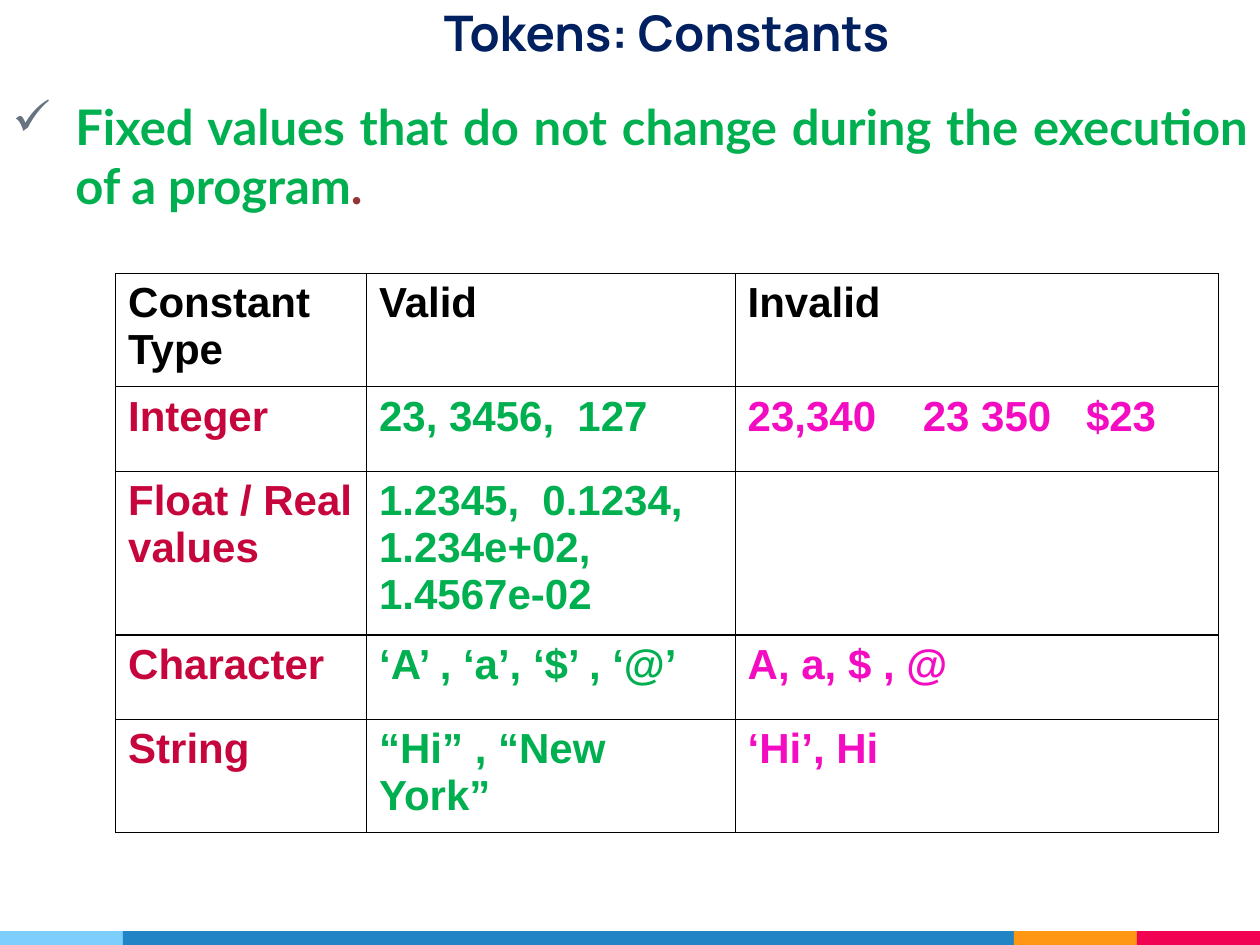
from lxml import etree
from pptx import Presentation
from pptx.dml.color import RGBColor
from pptx.enum import shapes, text
from pptx.oxml import ns
from pptx.util import Cm, Pt

NAVY, GREEN, RED, PINK, BLACK = "002060", "00B050", "C5053C", "F40CC2", "000000"
SLIDE_WIDTH, SLIDE_HEIGHT = 25.4, 19.05

FOOTER_BANDS = [("7ECEFD", 2.48), ("2185C5", 17.96), ("FF9715", 2.48), ("F20253", 2.48)]

COLUMN_WIDTHS = [5.06, 7.43, 9.74]
ROW_HEIGHT = 1.7
CONSTANTS = [
    ["Constant Type", "Valid", "Invalid"],
    ["Integer", "23, 3456,  127", "23,340\t23 350\t$23"],
    ["Float / Real values", "1.2345,  0.1234, 1.234e+02, 1.4567e-02", ""],
    ["Character", "‘A’ , ‘a’, ‘$’ , ‘@’", "A, a, $ , @"],
    ["String", "“Hi” , “New York”", "‘Hi’, Hi"],
]
TAB_STOPS = [3.53, 6.82]


def color(hex_string):
    return RGBColor.from_string(hex_string)


def add_element(parent, tag, **attributes):
    element = etree.SubElement(parent, ns.qn(tag))
    for name, value in attributes.items():
        element.set(name, str(value))
    return element


def style_font(font, name, size, hex_string):
    font.name = name
    font.size = Pt(size)
    font.bold = True
    font.color.rgb = color(hex_string)


def add_footer(slide):
    left, height = 0, 0.28
    for hex_string, width in FOOTER_BANDS:
        band = slide.shapes.add_shape(
            shapes.MSO_SHAPE.RECTANGLE,
            Cm(left), Cm(SLIDE_HEIGHT - height), Cm(width), Cm(height))
        band.shadow.inherit = False
        band.fill.solid()
        band.fill.fore_color.rgb = color(hex_string)
        band.line.fill.background()
        left += width


def add_text_box(slide, left, top, width, height, parts, font_name, alignment, anchor):
    box = slide.shapes.add_textbox(Cm(left), Cm(top), Cm(width), Cm(height))
    frame = box.text_frame
    frame.word_wrap = True
    frame.vertical_anchor = anchor
    frame.margin_left = frame.margin_right = Cm(0.25)
    frame.margin_top = frame.margin_bottom = Cm(0.25)
    paragraph = frame.paragraphs[0]
    paragraph.alignment = alignment
    for words, hex_string in parts:
        run = paragraph.add_run()
        run.text = words
        style_font(run.font, font_name, 28, hex_string)
    return paragraph


def add_bullet(paragraph, character, hex_string, indent):
    properties = paragraph._p.get_or_add_pPr()
    properties.set("marL", str(Cm(indent)))
    properties.set("indent", str(-Cm(indent)))
    bullet_color = add_element(properties, "a:buClr")
    add_element(bullet_color, "a:srgbClr", val=hex_string)
    add_element(properties, "a:buChar", char=character)


def add_tab_stops(paragraph, positions):
    tab_list = add_element(paragraph._p.get_or_add_pPr(), "a:tabLst")
    for position in positions:
        add_element(tab_list, "a:tab", pos=Cm(position), algn="l")


def add_borders(cell, hex_string, width):
    properties = cell._tc.get_or_add_tcPr()
    for index, side in enumerate(("a:lnL", "a:lnR", "a:lnT", "a:lnB")):
        line = etree.Element(ns.qn(side), w=str(Pt(width)))
        fill = add_element(line, "a:solidFill")
        add_element(fill, "a:srgbClr", val=hex_string)
        properties.insert(index, line)


def fill_cell(cell, words, hex_string):
    cell.fill.background()
    add_borders(cell, BLACK, 0.75)
    cell.text_frame.text = words
    paragraph = cell.text_frame.paragraphs[0]
    if "\t" in words:
        add_tab_stops(paragraph, TAB_STOPS)
    style_font(paragraph.font, "Arial", 24, hex_string)
    for run in paragraph.runs:
        style_font(run.font, "Arial", 24, hex_string)


def add_constants_table(slide, left, top):
    table = slide.shapes.add_table(
        len(CONSTANTS), len(COLUMN_WIDTHS), Cm(left), Cm(top),
        Cm(sum(COLUMN_WIDTHS)), Cm(ROW_HEIGHT * len(CONSTANTS))).table
    table.first_row = False
    table.horz_banding = False
    for column, width in zip(table.columns, COLUMN_WIDTHS):
        column.width = Cm(width)
    for row_index, row in enumerate(CONSTANTS):
        table.rows[row_index].height = Cm(ROW_HEIGHT)
        row_colors = [RED, GREEN, PINK] if row_index else [BLACK] * 3
        for column_index, words in enumerate(row):
            fill_cell(table.cell(row_index, column_index), words, row_colors[column_index])


def main():
    presentation = Presentation()
    presentation.slide_width = Cm(SLIDE_WIDTH)
    presentation.slide_height = Cm(SLIDE_HEIGHT)
    slide = presentation.slides.add_slide(presentation.slide_layouts[6])

    # Coloured strip along the bottom
    add_footer(slide)

    # Title
    add_text_box(slide, 4.24, 0.18, 18.39, 1.3, [("Tokens: Constants", NAVY)],
                 "Manrope", text.PP_ALIGN.CENTER, text.MSO_ANCHOR.BOTTOM)

    # Definition
    definition = add_text_box(
        slide, 0, 1.7, 25.4, 2.97,
        [("Fixed values that do not change during the execution of a program", GREEN),
         (".", "963334")],
        "Lato", text.PP_ALIGN.JUSTIFY, text.MSO_ANCHOR.TOP)
    add_bullet(definition, "✓", "677480", 1.27)

    # Valid and invalid examples
    add_constants_table(slide, 2.33, 5.51)

    presentation.save("out.pptx")


if __name__ == "__main__":
    main()
